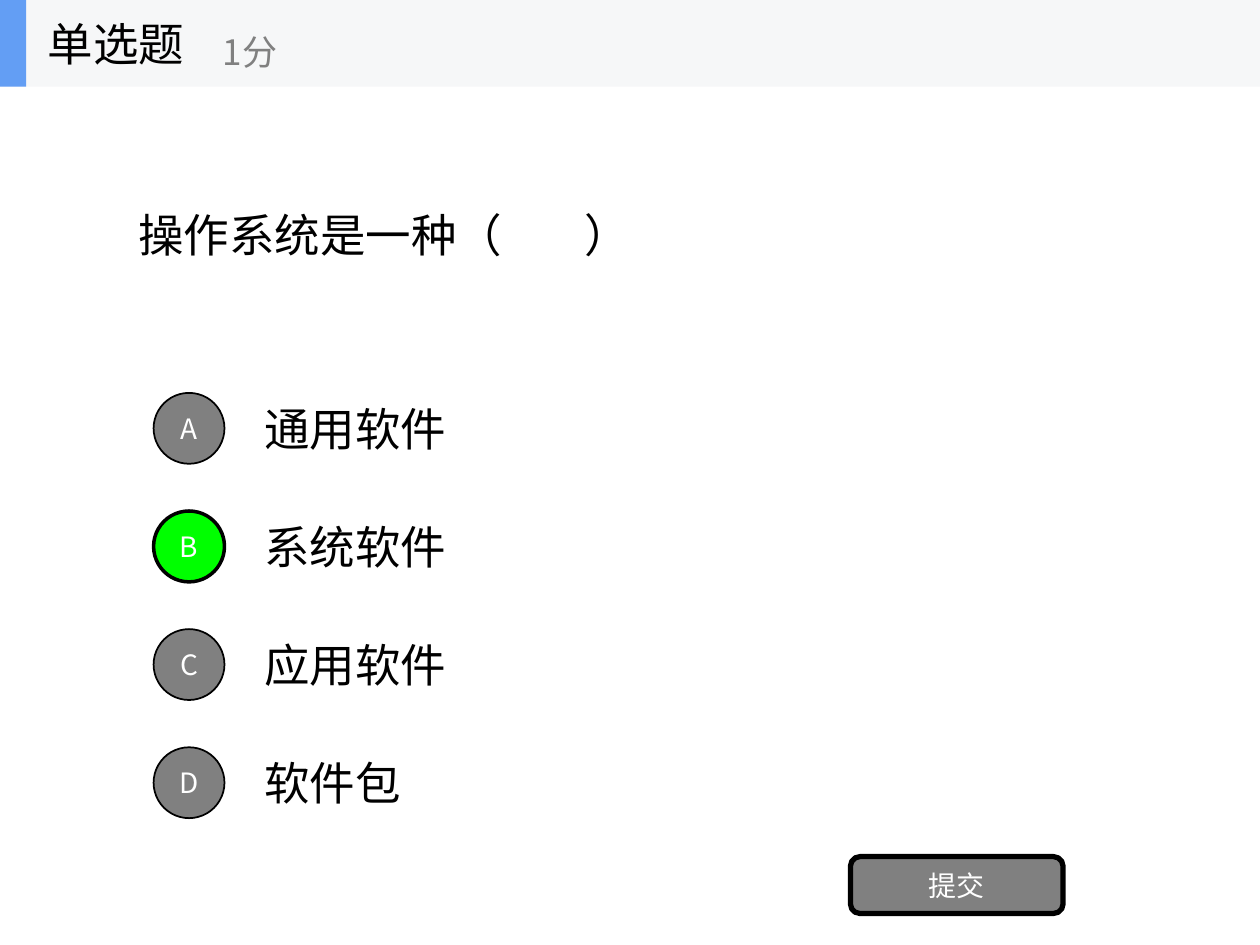
from dataclasses import dataclass

from lxml.etree import SubElement
from pptx import Presentation
from pptx.dml.color import RGBColor
from pptx.enum.shapes import MSO_SHAPE
from pptx.enum.text import MSO_ANCHOR, PP_ALIGN
from pptx.oxml.ns import qn
from pptx.util import Pt


@dataclass(frozen=True)
class Theme:
    font: str = "Noto Sans CJK SC"
    ink: str = "000000"
    paper: str = "FFFFFF"
    muted: str = "808080"
    correct: str = "00FF00"
    band: str = "F6F7F8"
    accent: str = "639EF4"
    body: int = 26
    score: int = 20
    label: int = 16


class QuizSlide:
    def __init__(self, page, theme):
        self.page = page
        self.theme = theme
        self.target = page.shapes

    def start_group(self):
        self.target = self.page.shapes.add_group_shape().shapes

    def set_words(self, box, words, size, color, align, wrap=True):
        frame = box.text_frame
        frame.text = words
        frame.word_wrap = wrap
        frame.vertical_anchor = MSO_ANCHOR.MIDDLE
        para = frame.paragraphs[0]
        para.alignment = align
        for span in para.runs:
            span.font.name = self.theme.font
            span.font.size = Pt(size)
            span.font.color.rgb = RGBColor.from_string(color)
            east_asian = SubElement(span.font._element, qn("a:ea"))
            east_asian.set("typeface", self.theme.font)

    def text(self, place, words, size=None, color=None, wrap=True):
        box = self.target.add_textbox(*map(Pt, place))
        self.set_words(box, words, size or self.theme.body,
                       color or self.theme.ink, PP_ALIGN.LEFT, wrap)

    def block(self, kind, place, fill, line_width=0):
        shape = self.target.add_shape(kind, *map(Pt, place))
        shape.shadow.inherit = False
        shape.fill.solid()
        shape.fill.fore_color.rgb = RGBColor.from_string(fill)
        if line_width:
            shape.line.color.rgb = RGBColor.from_string(self.theme.ink)
            shape.line.width = Pt(line_width)
        else:
            shape.line.fill.background()
        return shape

    def button(self, kind, place, words, fill, line_width):
        shape = self.block(kind, place, fill, line_width)
        frame = shape.text_frame
        frame.margin_left = frame.margin_right = 0
        frame.margin_top = frame.margin_bottom = 0
        self.set_words(shape, words, self.theme.label, self.theme.paper, PP_ALIGN.CENTER)


def main():
    deck = Presentation()
    deck.slide_width, deck.slide_height = Pt(720), Pt(540)
    theme = Theme()
    quiz = QuizSlide(deck.slides.add_slide(deck.slide_layouts[6]), theme)

    header_height = 49.5
    quiz.text((72, header_height, 576, 168.5), "操作系统是一种（        ）")

    options = ("通用软件", "系统软件", "应用软件", "软件包")
    answer = "B"
    first_top, pitch, row_height, circle = 219.5, 67.5, 50.5, 40.5
    for row, (letter, option) in enumerate(zip("ABCD", options)):
        top = first_top + row * pitch
        chosen = letter == answer
        quiz.text((144, top, 504, row_height), option)
        quiz.button(MSO_SHAPE.OVAL,
                    (87.75, top + (row_height - circle) / 2, circle, circle),
                    letter, theme.correct if chosen else theme.muted,
                    2 if chosen else 1)

    quiz.button(MSO_SHAPE.ROUNDED_RECTANGLE, (486, 489.5, 121.5, 32.5),
                "提交", theme.muted, 3)

    quiz.start_group()
    quiz.block(MSO_SHAPE.RECTANGLE, (0, 0, 720, header_height), theme.band)
    quiz.block(MSO_SHAPE.RECTANGLE, (0, 0, 15, header_height), theme.accent)
    quiz.text((20.25, 0, 150, header_height), "单选题", wrap=False)
    quiz.text((120.25, 9, 180, 40.5), "1分", theme.score, theme.muted, wrap=False)

    deck.save("out.pptx")


if __name__ == "__main__":
    main()
